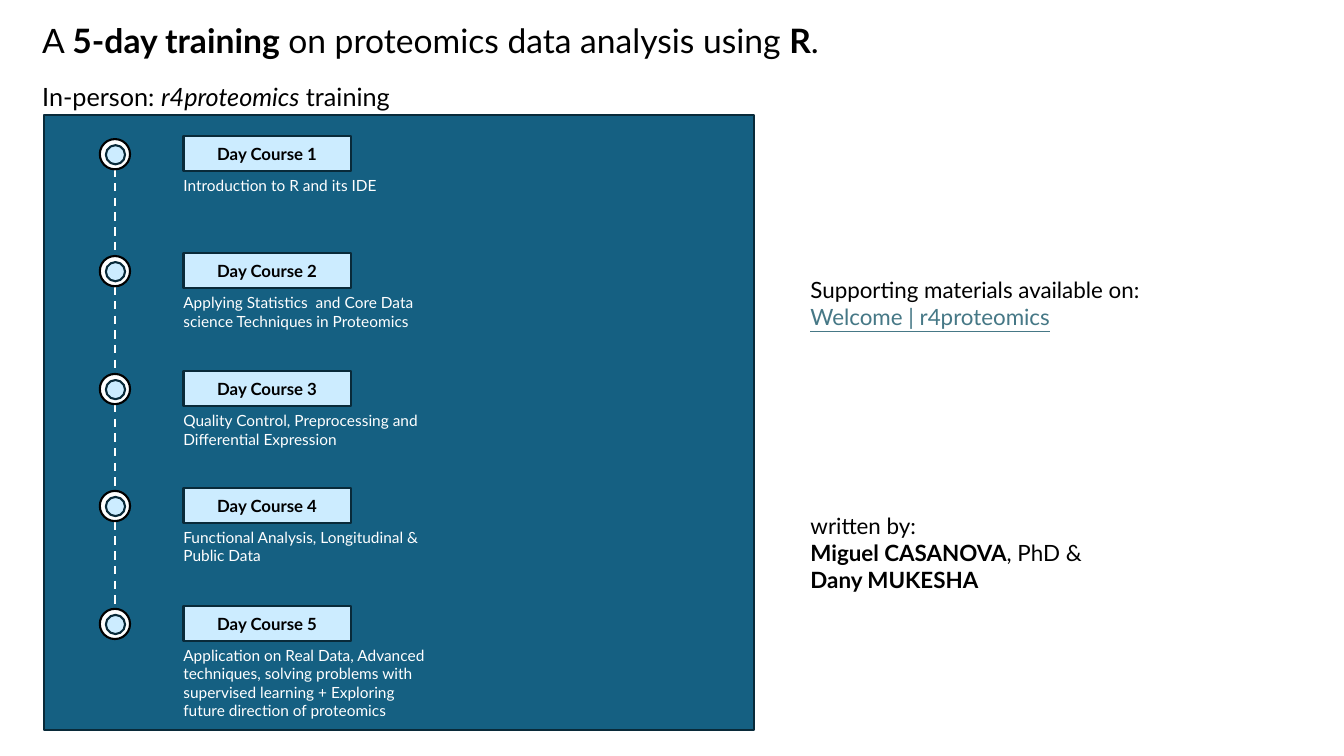
import pptx
import pptx.dml.color
import pptx.enum.dml
import pptx.enum.shapes
import pptx.enum.text
import pptx.oxml
import pptx.util

FONT = "Lato"
BLACK, WHITE = "000000", "FFFFFF"
TEAL, NAVY, PALE, LINK = "156082", "092A39", "CCECFF", "467886"

DAYS = [
    ("Day Course 1", "Introduction to R and its IDE", 29),
    ("Day Course 2", "Applying Statistics  and Core Data science Techniques in Proteomics", 47),
    ("Day Course 3", "Quality Control, Preprocessing and Differential Expression", 47),
    ("Day Course 4", "Functional Analysis, Longitudinal & Public Data", 47),
    ("Day Course 5", "Application on Real Data, Advanced techniques, solving problems with "
     "supervised learning + Exploring future direction of proteomics", 84),
]

# box in px, size in pt, paragraphs of (text, style) runs; b bold, i italic, u link
TEXTS = [
    ((32, 76, 518, 40), 18, [[("In-person: ", ""), ("r4proteomics", "i"), (" training", "")]]),
    ((32, 15, 859, 50), 24, [[("A ", ""), ("5-day training", "b"),
                              (" on proteomics data analysis using ", ""), ("R", "b"), (".", "")]]),
    ((794, 269, 400, 64), 16, [[("Supporting materials available on: ", ""),
                                ("Welcome | r4proteomics", "u")]]),
    ((794, 503, 379, 91), 16, [[("written by:", "")],
                               [("Miguel CASANOVA", "b"), (", PhD &", "")],
                               [("Dany MUKESHA", "b")]]),
]

PANEL = (44, 114, 704, 610)
FIRST_TOP, LAST_TOP = 135, 601
AXIS_X = 114
LABEL_X, LABEL_W, LABEL_H = 182, 166, 35
NOTE_X, NOTE_W = 172, 268
RING, DOT = 30, 19

SHAPE = pptx.enum.shapes.MSO_SHAPE


def px(n):
    return pptx.util.Emu(n * 9144)


def rgb(color):
    return pptx.dml.color.RGBColor.from_string(color)


def add_box(shapes, kind, box, fill, line):
    s = shapes.add_shape(kind, *map(px, box))
    s.shadow.inherit = False
    s.fill.solid()
    s.fill.fore_color.rgb = rgb(fill)
    s.line.color.rgb = rgb(line)
    s.line.width = pptx.util.Pt(1.5)
    return s


def add_circle(shapes, cy, size, fill, line):
    """Centre a circle on the timeline axis."""
    add_box(shapes, SHAPE.OVAL, (AXIS_X - size // 2, cy - size // 2, size, size), fill, line)


def write(tf, paragraphs, size, color):
    tf.word_wrap = True
    for n, runs in enumerate(paragraphs):
        p = tf.add_paragraph() if n else tf.paragraphs[0]
        for text, style in runs:
            r = p.add_run()
            r.text = text
            r.font.name = FONT
            r.font.size = pptx.util.Pt(size)
            r.font.bold = "b" in style
            r.font.italic = "i" in style
            r.font.underline = "u" in style
            r.font.color.rgb = rgb(LINK if "u" in style else color)


def add_text(shapes, box, paragraphs, size, color):
    s = shapes.add_textbox(*map(px, box))
    write(s.text_frame, paragraphs, size, color)
    s.text_frame.auto_size = pptx.enum.text.MSO_AUTO_SIZE.SHAPE_TO_FIT_TEXT


def add_timeline(shapes, top, bottom):
    s = shapes.add_connector(pptx.enum.shapes.MSO_CONNECTOR.STRAIGHT,
                             *map(px, (AXIS_X, top, AXIS_X, bottom)))
    s.line.color.rgb = rgb(WHITE)
    s.line.width = pptx.util.Pt(1.5)
    s.line.dash_style = pptx.enum.dml.MSO_LINE.DASH
    s.element.spPr.append(pptx.oxml.parse_xml(
        '<a:effectLst xmlns:a="http://schemas.openxmlformats.org/drawingml/2006/main"/>'))


def add_day(shapes, top, title, note, note_h):
    group = shapes.add_group_shape().shapes
    cy = top + LABEL_H // 2 + 1
    add_circle(group, cy, RING, WHITE, BLACK)
    add_circle(group, cy, DOT, PALE, NAVY)
    label = add_box(group, SHAPE.RECTANGLE, (LABEL_X, top, LABEL_W, LABEL_H), PALE, NAVY)
    tf = label.text_frame
    write(tf, [[(title, "b")]], 12, BLACK)
    tf.vertical_anchor = pptx.enum.text.MSO_ANCHOR.MIDDLE
    tf.paragraphs[0].alignment = pptx.enum.text.PP_ALIGN.CENTER
    add_text(group, (NOTE_X, top + LABEL_H, NOTE_W, note_h), [[(note, "")]], 11, WHITE)


def main():
    prs = pptx.Presentation()
    prs.slide_width, prs.slide_height = px(1333), px(750)
    shapes = prs.slides.add_slide(prs.slide_layouts[6]).shapes
    add_box(shapes, SHAPE.RECTANGLE, PANEL, TEAL, NAVY)
    add_timeline(shapes, FIRST_TOP + 32, LAST_TOP + 8)
    for i, (title, note, note_h) in enumerate(DAYS):
        top = FIRST_TOP + i * (LAST_TOP - FIRST_TOP) // (len(DAYS) - 1)
        add_day(shapes, top, title, note, note_h)
    for box, size, paragraphs in TEXTS:
        add_text(shapes, box, paragraphs, size, BLACK)
    prs.save("out.pptx")


if __name__ == "__main__":
    main()
